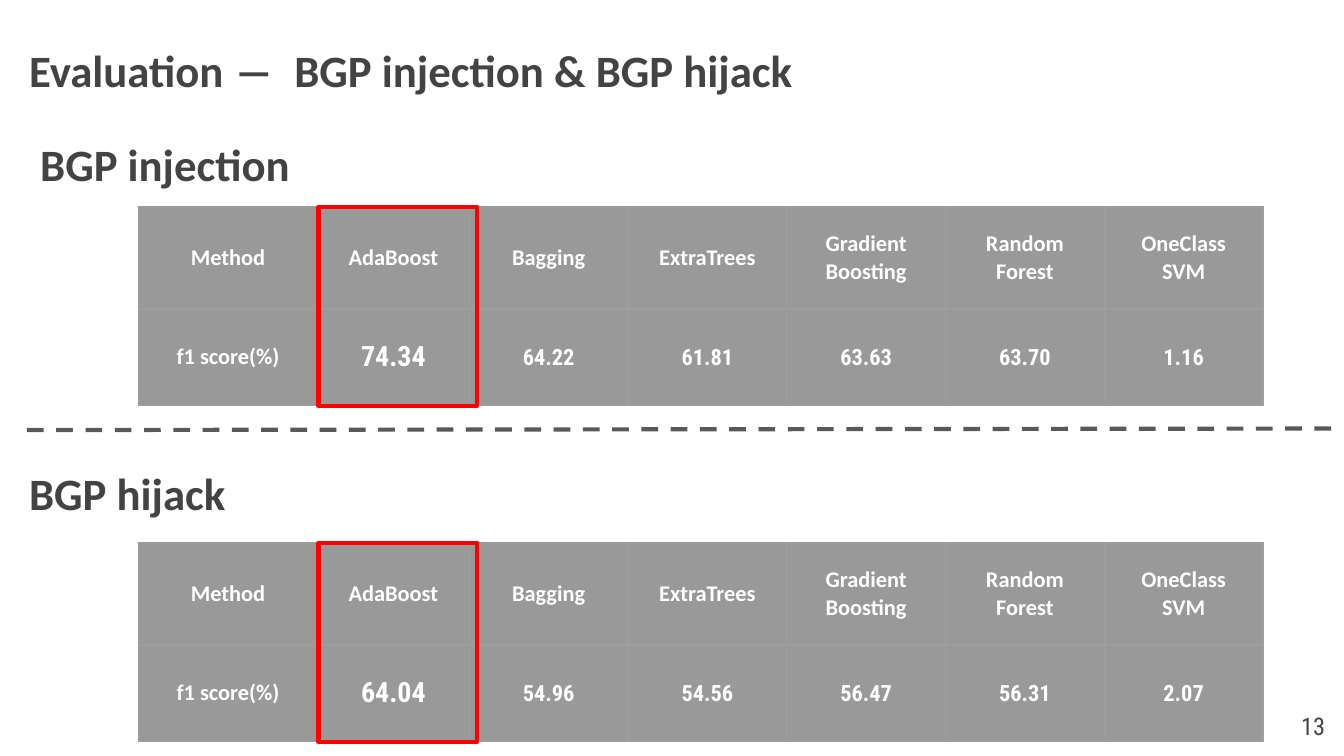
from lxml import etree
from pptx import Presentation
from pptx.dml.color import RGBColor
from pptx.enum.dml import MSO_LINE
from pptx.enum.shapes import MSO_CONNECTOR, MSO_SHAPE
from pptx.enum.text import MSO_ANCHOR, PP_ALIGN
from pptx.oxml.ns import qn
from pptx.util import Cm, Pt

TOP, MID = MSO_ANCHOR.TOP, MSO_ANCHOR.MIDDLE
LEFT, CENTER, RIGHT = PP_ALIGN.LEFT, PP_ALIGN.CENTER, PP_ALIGN.RIGHT
RECT, LINE, DASH = MSO_SHAPE.RECTANGLE, MSO_CONNECTOR.STRAIGHT, MSO_LINE.DASH

COLORS = {"ink": "434343", "panel": "999999", "grid": "9E9E9E",
          "rule": "595959", "mark": "FF0000", "white": "FFFFFF"}
SANS, DIGIT = "Calibri", "Roboto Condensed"
PAD = Cm(0.25)

# Table grid, in cm
COLS = [3.38, 2.87] + [3] * 5
ROWS = [1.93, 1.83]
HEADS = ["Method", "AdaBoost", "Bagging", "ExtraTrees",
         "Gradient Boosting", "Random Forest", "OneClass SVM"]
BEST = 1

# Heading, heading box, table top, scores
PARTS = [
    ("BGP injection", (0.51, 2.34, 6.71, 2.03), 3.91,
     ["74.34", "64.22", "61.81", "63.63", "63.70", "1.16"]),
    ("BGP hijack", (0.3, 8.56, 7.21, 2.03), 10.26,
     ["64.04", "54.96", "54.56", "56.47", "56.31", "2.07"]),
]


def color(name):
    return RGBColor.from_string(COLORS[name])


def write(frame, text, size=24, font=SANS, ink="ink", bold=True, align=LEFT):
    para = frame.paragraphs[0]
    para.alignment = align
    run = para.add_run()
    run.text = text
    run.font.size = Pt(size)
    run.font.name = font
    run.font.bold = bold
    run.font.color.rgb = color(ink)


def label(slide, box, text, anchor=TOP, **style):
    frame = slide.shapes.add_textbox(*map(Cm, box)).text_frame
    frame.word_wrap = True
    frame.vertical_anchor = anchor
    frame.margin_left = frame.margin_right = PAD
    frame.margin_top = frame.margin_bottom = PAD
    write(frame, text, **style)


def panel(slide, box):
    shape = slide.shapes.add_shape(RECT, *map(Cm, box))
    shape.shadow.inherit = False
    shape.fill.solid()
    shape.fill.fore_color.rgb = color("panel")
    shape.line.fill.background()


def marker(slide, box):
    shape = slide.shapes.add_shape(RECT, *map(Cm, box))
    shape.shadow.inherit = False
    shape.fill.background()
    shape.line.color.rgb = color("mark")
    shape.line.width = Pt(2.25)
    etree.SubElement(shape.line._get_or_add_ln(), qn("a:round"))


def border(cell):
    props = cell._tc.get_or_add_tcPr()
    for at, side in enumerate(("lnL", "lnR", "lnT", "lnB")):
        edge = etree.Element(qn("a:" + side), w=str(Pt(0.75)))
        fill = etree.SubElement(edge, qn("a:solidFill"))
        etree.SubElement(fill, qn("a:srgbClr"), val=COLORS["grid"])
        props.insert(at, edge)


def scores(slide, box, values):
    grid = slide.shapes.add_table(len(ROWS), len(COLS), *map(Cm, box)).table
    grid.first_row = grid.horz_banding = False
    for col, width in zip(grid.columns, COLS):
        col.width = Cm(width)
    for row, height in zip(grid.rows, ROWS):
        row.height = Cm(height)
    for r, line in enumerate([HEADS, ["f1 score(%)"] + values]):
        for c, text in enumerate(line):
            cell = grid.cell(r, c)
            cell.fill.background()
            cell.vertical_anchor = MID
            cell.margin_left = cell.margin_right = PAD
            cell.margin_top = cell.margin_bottom = PAD
            number = r == 1 and c > 0
            write(cell.text_frame, text, ink="white", align=CENTER,
                  size=15 if number and c == BEST else 12,
                  font=DIGIT if number else SANS)
            border(cell)


def result(slide, box, values):
    """Panel, score table and the frame around the best method."""
    left, top, _, height = box
    panel(slide, box)
    scores(slide, box, values)
    marker(slide, (left + sum(COLS[:BEST]) + 0.02, top, 3, height))


def divider(slide, box):
    left, top, width, height = box
    rule = slide.shapes.add_connector(
        LINE, Cm(left), Cm(top + height), Cm(left + width), Cm(top))
    rule.line.color.rgb = color("rule")
    rule.line.width = Pt(2.25)
    rule.line.dash_style = DASH
    etree.SubElement(rule._element.spPr, qn("a:effectLst"))


def main():
    deck = Presentation()
    deck.slide_width, deck.slide_height = Cm(25.4), Cm(14.29)
    slide = deck.slides.add_slide(deck.slide_layouts[6])

    # Title and divider
    label(slide, (0.3, 0.56, 21.41, 1.68),
          "Evaluation ―  BGP injection & BGP hijack")
    divider(slide, (0.51, 8.1, 24.69, 0.03))

    # One heading and table for each attack
    for head, box, top, values in PARTS:
        label(slide, box, head)
        result(slide, (2.62, top, sum(COLS), sum(ROWS)), values)

    # Page number
    label(slide, (23.77, 13.18, 1.52, 1.09), "13", anchor=MID,
          size=13, font=DIGIT, bold=False, align=RIGHT)
    deck.save("out.pptx")


if __name__ == "__main__":
    main()
